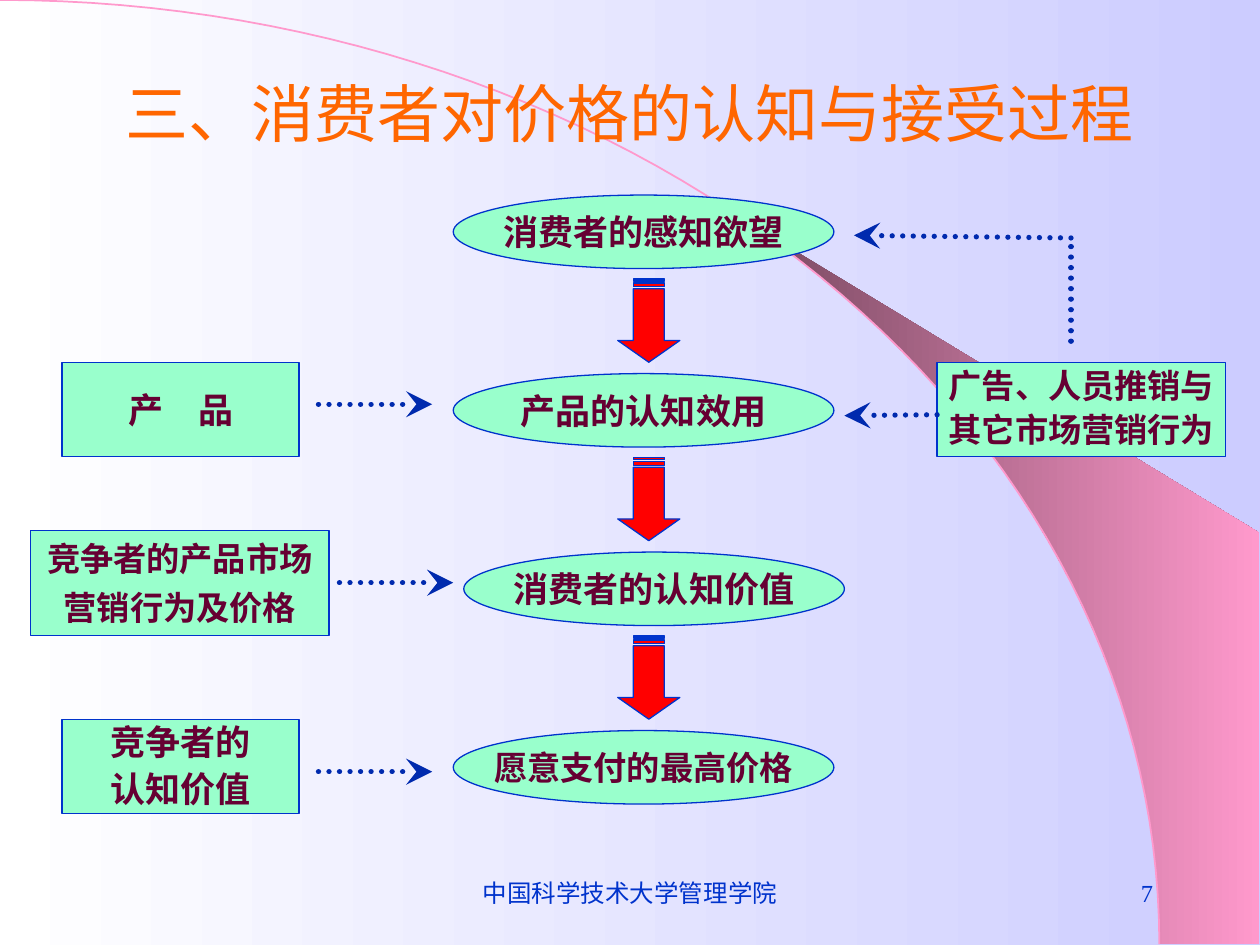
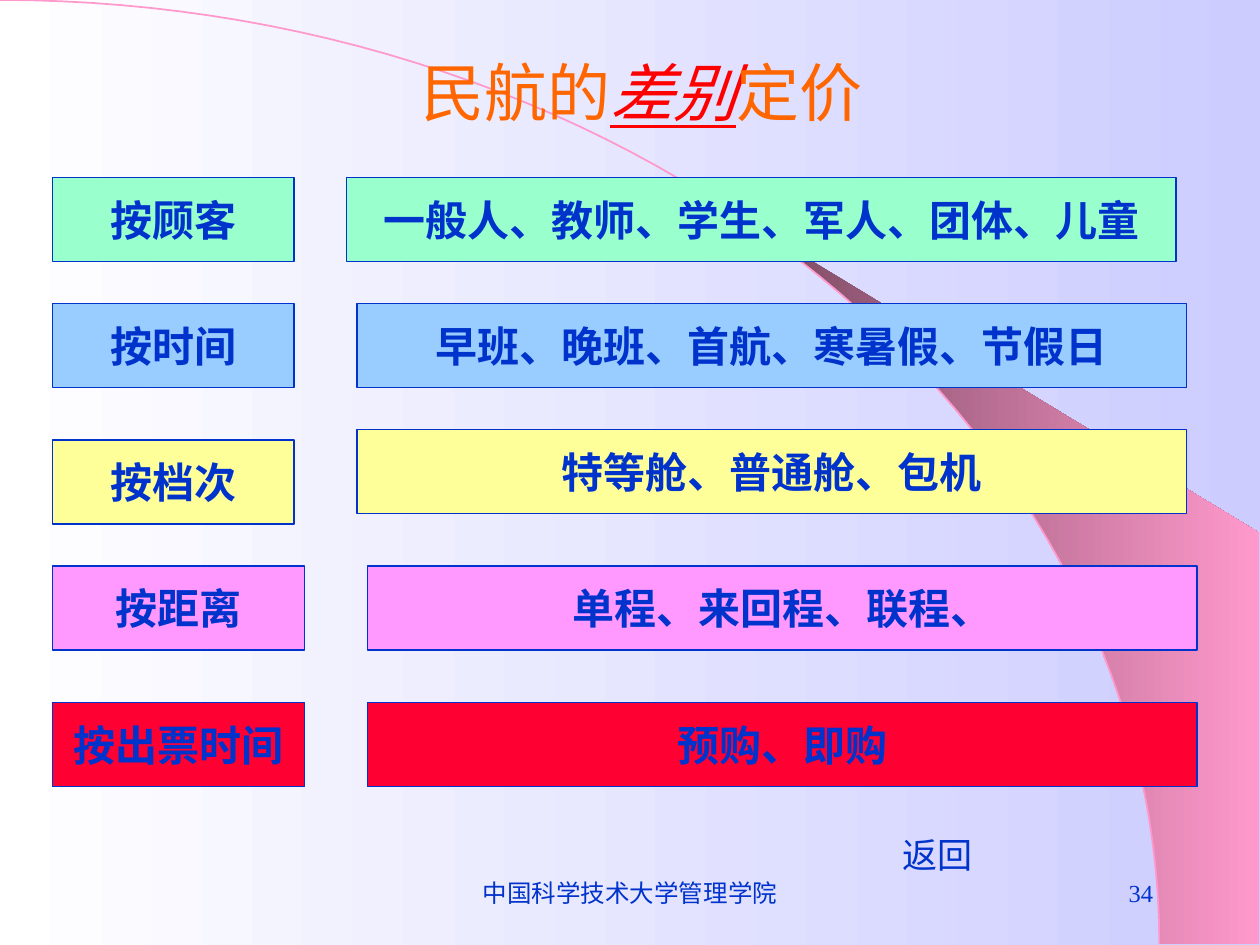
from dataclasses import dataclass
import math

from lxml import etree
from pptx import Presentation
from pptx import util as u
from pptx.dml import color
from pptx.enum import dml, shapes, text
from pptx.oxml import ns

Pt = u.Pt
CENTER, RIGHT = text.PP_ALIGN.CENTER, text.PP_ALIGN.RIGHT
MIDDLE, BOTTOM = text.MSO_ANCHOR.MIDDLE, text.MSO_ANCHOR.BOTTOM
TOP = text.MSO_ANCHOR.TOP


@dataclass(frozen=True)
class Theme:
    # Colours
    sky: tuple = ("FFFFFF", "CCCCFF")
    ribbon: tuple = ("76475E", "FF99CC")
    curve: str = "FF99CC"
    title: str = "FF6600"
    blue: str = "0033CC"
    link: str = "002AAE"
    plum: str = "660033"
    red: str = "FF0000"
    mint: str = "99FFCC"
    azure: str = "99CCFF"
    yellow: str = "FFFF99"
    pink: str = "FF99FF"
    crimson: str = "FF0033"
    # Fonts and type sizes
    sans: str = "Noto Sans CJK SC"
    serif: str = "Times New Roman"
    title_size: int = 36
    row_size: int = 24
    node_size: int = 20
    small_node_size: int = 19
    footer_size: int = 14


class Deck:
    WIDTH, HEIGHT = 720, 540
    CURVE_WIDTH, CURVE_HEIGHT = 662.5, 539.5

    def __init__(self, theme):
        self.theme = theme
        self.presentation = Presentation()
        self.presentation.slide_width = Pt(self.WIDTH)
        self.presentation.slide_height = Pt(self.HEIGHT)
        self.slide = None

    # Slide frame: background, ribbon, curve and footer
    def new_slide(self, number):
        layout = self.presentation.slide_layouts[6]
        self.slide = self.presentation.slides.add_slide(layout)
        self.gradient(self.slide.background.fill, self.theme.sky)
        self.ribbon()
        self.footer("中国科学技术大学管理学院", 246, 228, CENTER)
        self.footer(number, 516, 150, RIGHT)

    def ribbon(self):
        start = math.asin(424 / self.CURVE_WIDTH)
        edge = self.curve_points(start, 30)
        corners = [(719.5, 539.5), (719.5, 304.5)]
        band = self.outline(edge + corners, True)
        self.gradient(band.fill, self.theme.ribbon)
        band.line.fill.background()
        curve = self.outline(self.curve_points(0, 60), False)
        curve.fill.background()
        self.stroke(curve, self.theme.curve, 1)

    def curve_points(self, start, steps):
        """Points on the quarter ellipse that runs from top left to bottom right."""
        angles = [start + (math.pi / 2 - start) * i / steps for i in range(steps + 1)]
        return [(self.CURVE_WIDTH * math.sin(a), self.CURVE_HEIGHT * (1 - math.cos(a)))
                for a in angles]

    def outline(self, points, close):
        points = [(Pt(x), Pt(y)) for x, y in points]
        builder = self.slide.shapes.build_freeform(*points[0])
        builder.add_line_segments(points[1:], close=close)
        shape = builder.convert_to_shape()
        shape.shadow.inherit = False
        return shape

    def footer(self, words, left, width, align):
        self.textbox((left, 492, width, 36), [(words, {})], self.theme.footer_size,
                     self.theme.blue, self.theme.serif, align)

    # Style helpers
    @staticmethod
    def rgb(value):
        return color.RGBColor.from_string(value)

    def gradient(self, fill, colors):
        fill.gradient()
        fill.gradient_angle = 0
        for stop, value in zip(fill.gradient_stops, colors):
            stop.color.rgb = self.rgb(value)

    def stroke(self, shape, value, width):
        shape.line.color.rgb = self.rgb(value)
        shape.line.width = Pt(width)

    def add_run(self, paragraph, words, size, value, font, bold=False,
                italic=False, underline=False):
        run = paragraph.add_run()
        run.text = words
        run.font.size = Pt(size)
        run.font.name = font
        run.font.bold, run.font.italic, run.font.underline = bold, italic, underline
        run.font.color.rgb = self.rgb(value)
        latin = run.font._element.find(ns.qn("a:latin"))
        east_asian = etree.Element(ns.qn("a:ea"), typeface=self.theme.sans)
        latin.addnext(east_asian)

    # Elements
    def textbox(self, box, runs, size, value, font, align=CENTER, anchor=MIDDLE):
        frame = self.slide.shapes.add_textbox(*map(Pt, box)).text_frame
        frame.word_wrap = True
        frame.vertical_anchor = anchor
        paragraph = frame.paragraphs[0]
        paragraph.alignment = align
        for words, changes in runs:
            style = {"size": size, "value": value, "font": font, **changes}
            self.add_run(paragraph, words, **style)

    def title(self, box, runs, anchor=MIDDLE):
        self.textbox(box, runs, self.theme.title_size, self.theme.title,
                     self.theme.sans, anchor=anchor)

    def preset(self, kind, box, fill):
        shape = self.slide.shapes.add_shape(kind, *map(Pt, box))
        shape.shadow.inherit = False
        shape.fill.solid()
        shape.fill.fore_color.rgb = self.rgb(fill)
        self.stroke(shape, self.theme.blue, 0.75)
        return shape

    def label(self, kind, box, lines, fill, size, value, font, spacing=None):
        frame = self.preset(kind, box, fill).text_frame
        frame.word_wrap = False
        frame.vertical_anchor = MIDDLE
        for i, words in enumerate(lines):
            paragraph = frame.add_paragraph() if i else frame.paragraphs[0]
            paragraph.alignment = CENTER
            if i:
                paragraph.space_before = Pt(size / 4)
            if spacing:
                paragraph.line_spacing = Pt(spacing)
            self.add_run(paragraph, words, size, value, font, bold=True)

    def node(self, kind, box, lines, size, spacing=None):
        self.label(kind, box, lines, self.theme.mint, size, self.theme.plum,
                   self.theme.sans, spacing)

    def row_box(self, box, words, fill):
        self.label(shapes.MSO_SHAPE.RECTANGLE, box, [words], fill,
                   self.theme.row_size, self.theme.blue, self.theme.serif)

    def down_arrow(self, box):
        arrow = self.preset(shapes.MSO_SHAPE.STRIPED_RIGHT_ARROW, box, self.theme.red)
        arrow.adjustments[0], arrow.adjustments[1] = 0.5, 0.35
        arrow.rotation = 90

    def dotted_line(self, start, end, arrow=True):
        line = self.slide.shapes.add_connector(
            shapes.MSO_CONNECTOR.STRAIGHT, *map(Pt, start + end))
        self.stroke(line, self.theme.link, 3)
        line.line.dash_style = dml.MSO_LINE.ROUND_DOT
        properties = line._element.spPr
        outline = properties.find(ns.qn("a:ln"))
        outline.set("cap", "rnd")
        if arrow:
            etree.SubElement(outline, ns.qn("a:tailEnd"), type="stealth", w="lg", len="lg")
        etree.SubElement(properties, ns.qn("a:effectLst"))


def perception_slide(deck):
    theme = deck.theme
    big, small = theme.node_size, theme.small_node_size
    oval, rectangle = shapes.MSO_SHAPE.OVAL, shapes.MSO_SHAPE.RECTANGLE
    deck.new_slide("7")
    deck.title((54, 37.5, 612, 53), [("三、消费者对价格的认知与接受过程", {})])

    # Central chain of ovals and arrows
    step = 102
    stages = [("消费者的感知欲望", 259, big), ("产品的认知效用", 259, big),
              ("消费者的认知价值", 265, big), ("愿意支付的最高价格", 259, small)]
    for i, (words, left, size) in enumerate(stages):
        deck.node(oval, (left, 111.5 + i * step, 217.5, 42), [words], size)
    for i in range(len(stages) - 1):
        deck.down_arrow((347, 165.5 + i * step, 47.5, 35.5))

    # Influences on both sides
    deck.node(rectangle, (35.5, 207, 135.5, 54), ["产　品"], big)
    deck.node(rectangle, (17.5, 303, 170.5, 60),
              ["竞争者的产品市场", "营销行为及价格"], small)
    deck.node(rectangle, (35.5, 411, 135.5, 54), ["竞争者的", "认知价值"], big, 22)
    deck.node(rectangle, (535.5, 207, 165, 54),
              ["广告、人员推销与", "其它市场营销行为"], small, 20)

    # Dotted links
    for left, top in [(182, 231), (194, 333), (182, 441)]:
        deck.dotted_line((left, top), (left + 65, top))
    deck.dotted_line((535.5, 237), (482.5, 237.5))
    deck.dotted_line((612, 195), (612, 135.5), arrow=False)
    deck.dotted_line((612, 136), (488, 134.5))


def airline_slide(deck):
    theme = deck.theme
    deck.new_slide("34")
    emphasis = {"value": theme.red, "italic": True, "underline": True}
    deck.title((114, 11.5, 505.5, 66),
               [("民航的", {}), ("差别", emphasis), ("定价", {})], BOTTOM)

    # Rows: fill, basis, its top and width, offers, their left and top
    rows = [
        (theme.mint, "按顾客", 101.5, 138, "一般人、教师、学生、军人、团体、儿童", 198, 101.5),
        (theme.azure, "按时间", 173.5, 138, "早班、晚班、首航、寒暑假、节假日", 204, 173.5),
        (theme.yellow, "按档次", 251.5, 138, "特等舱、普通舱、包机", 204, 245.5),
        (theme.pink, "按距离", 323.5, 144, "单程、来回程、联程、", 210, 323.5),
        (theme.crimson, "按出票时间", 401.5, 144, "预购、即购", 210, 401.5),
    ]
    for fill, basis, basis_top, basis_width, offers, left, top in rows:
        deck.row_box((30, basis_top, basis_width, 48), basis, fill)
        deck.row_box((left, top, 474, 48), offers, fill)

    # Return label
    deck.textbox((500.5, 472.5, 70, 31.5), [("返回", {})], theme.node_size,
                 theme.blue, theme.sans, anchor=TOP)


def main():
    deck = Deck(Theme())
    perception_slide(deck)
    airline_slide(deck)
    deck.presentation.save("out.pptx")


if __name__ == "__main__":
    main()
